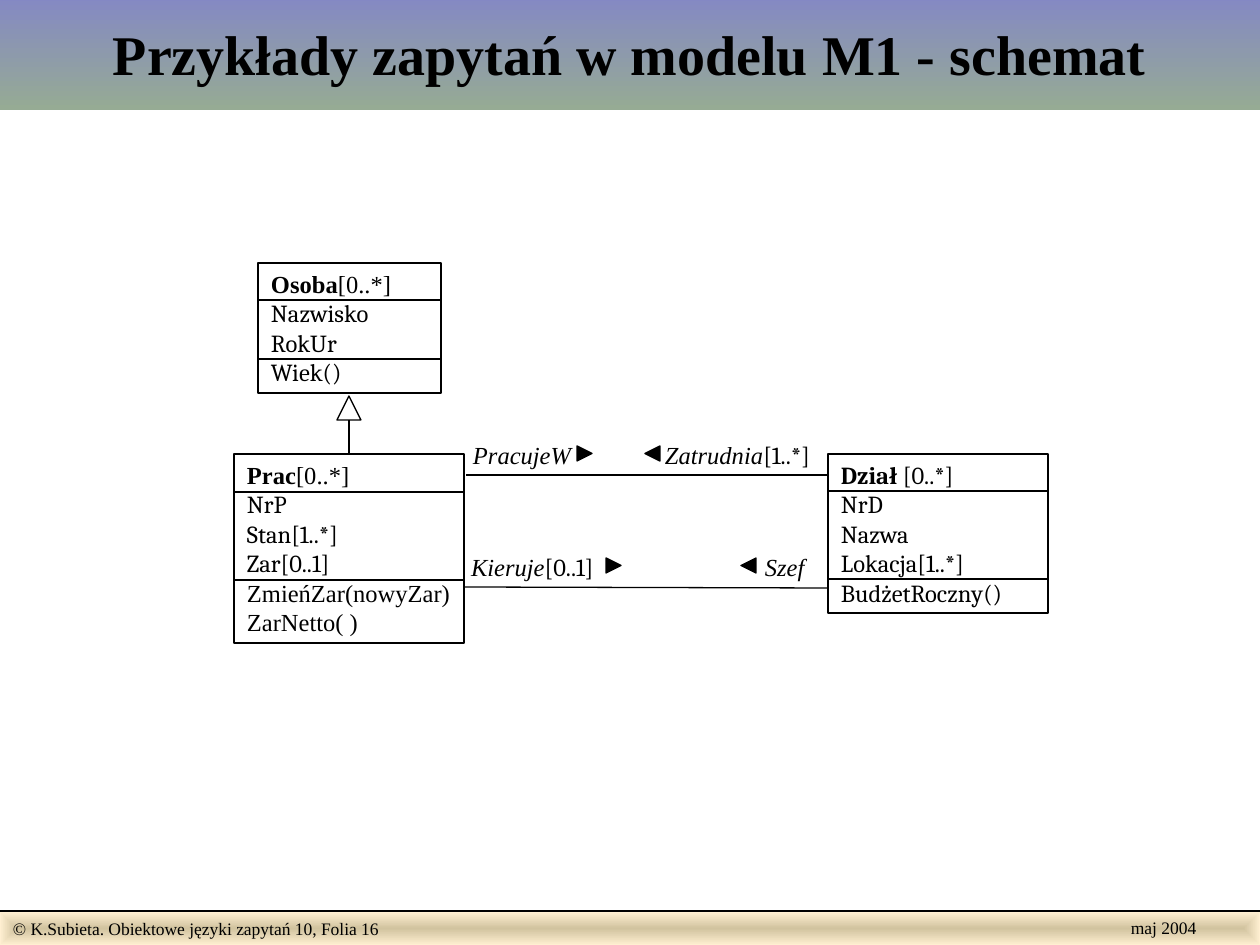
from lxml import etree
from pptx import Presentation
from pptx.dml.color import RGBColor
from pptx.enum.shapes import MSO_CONNECTOR, MSO_SHAPE
from pptx.enum.text import MSO_ANCHOR, PP_ALIGN
from pptx.oxml.ns import qn
from pptx.util import Pt

PX = 914400 / 126
RECT, TRI = MSO_SHAPE.RECTANGLE, MSO_SHAPE.ISOSCELES_TRIANGLE
STRAIGHT = MSO_CONNECTOR.STRAIGHT
TOP, MIDDLE = MSO_ANCHOR.TOP, MSO_ANCHOR.MIDDLE
LEFT, CENTER = PP_ALIGN.LEFT, PP_ALIGN.CENTER
TIMES, CAMBRIA = "Times New Roman", "Cambria"
BLACK, WHITE = "000000", "FFFFFF"
rgb = RGBColor.from_string

prs = Presentation()
prs.slide_width, prs.slide_height = round(1260 * PX), round(945 * PX)
slide = prs.slides.add_slide(prs.slide_layouts[6])
shapes = slide.shapes


def write(shape, paras, size=14, align=LEFT, anchor=TOP, pad=(13, 6)):
    """Each paragraph is a list of runs: (text, font, style), style b, i or empty."""
    frame = shape.text_frame
    frame.word_wrap, frame.vertical_anchor = True, anchor
    frame.margin_left = frame.margin_right = round(pad[0] * PX)
    frame.margin_top = frame.margin_bottom = round(pad[1] * PX)
    for n, runs in enumerate(paras):
        para = frame.add_paragraph() if n else frame.paragraphs[0]
        para.alignment = align
        for text, face, style in runs:
            run = para.add_run()
            run.text = text
            font = run.font
            font.name, font.size = face, Pt(size)
            font.bold, font.italic = style == "b", style == "i"
            font.color.rgb = rgb(BLACK)


def rule(*ends, width=0.75):
    line = shapes.add_connector(STRAIGHT, *(round(v * PX) for v in ends))
    line.line.color.rgb = rgb(BLACK)
    line.line.width = Pt(width)
    etree.SubElement(line._element.spPr, qn("a:effectLst"))
    return line


# Footer and title bands
bands = []
for y, h, tones in [(912, 33, ("D1C39F", "FFEFD1")), (-4, 114, ("8488C4", "96AB94"))]:
    band = shapes.add_shape(RECT, 0, round(y * PX), round(1260 * PX), round(h * PX))
    band.shadow.inherit = False
    band.line.fill.background()
    band.fill.gradient()
    band.fill.gradient_angle = 270
    for stop, tone in zip(band.fill.gradient_stops, tones):
        stop.color.rgb = rgb(tone)
    bands.append(band)
foot, head = bands

# The footer shades from its centre outwards
grad = foot._element.spPr.find(qn("a:gradFill"))
grad.remove(grad.find(qn("a:lin")))
shade = etree.SubElement(grad, qn("a:path"), path="rect")
etree.SubElement(shade, qn("a:fillToRect"), l="50000", t="50000", r="50000", b="50000")

write(foot, [[("© K.Subieta. Obiektowe języki zapytań 10, Folia 16", TIMES, "")]], size=10)
write(head, [[("Przykłady zapytań w modelu M1 - schemat", TIMES, "b")]],
      size=32, align=CENTER, anchor=MIDDLE)
rule(0, 911, 1260, 911, width=1)

# Classes: box, dividers, name, members
classes = [
    ((258, 263, 183, 130), (300, 359), ("Osoba", TIMES),
     [("Nazwisko", CAMBRIA), ("RokUr", CAMBRIA), ("Wiek()", CAMBRIA)]),
    ((234, 454, 230, 189), (492, 580), ("Prac", TIMES),
     [("NrP", CAMBRIA), ("Stan[1..*]", CAMBRIA), ("Zar[0..1]", CAMBRIA),
      ("ZmieńZar(nowyZar)", TIMES), ("ZarNetto( )", TIMES)]),
    ((828, 454, 220, 159), (491, 579), ("Dział ", CAMBRIA),
     [("NrD", CAMBRIA), ("Nazwa", CAMBRIA), ("Lokacja[1..*]", CAMBRIA),
      ("BudżetRoczny()", CAMBRIA)]),
]
boxes = {}
for (x, y, w, h), cuts, (name, face), parts in classes:
    box = shapes.add_shape(RECT, *(round(v * PX) for v in (x, y, w, h)))
    box.shadow.inherit = False
    box.fill.background()
    box.line.color.rgb = rgb(BLACK)
    box.line.width = Pt(0.75)
    write(box, [[(name, face, "b"), ("[0..*]", face, "")]]
          + [[(text, kind, "")] for text, kind in parts])
    for cut in cuts:
        rule(x, cut, x + w, cut)
    boxes[name] = box

# Associations and inheritance
rule(827, 475, 466, 475)
rule(827, 588, 465, 587)
rule(349, 420, 349, 454).end_connect(boxes["Prac"], 0)

# Inheritance head and reading-direction marks
for x, y, side, turn, tone in [(337, 396, 24, 0, WHITE),
                               (577, 446, 15, 90, BLACK), (606, 558, 15, 90, BLACK),
                               (645, 446, 15, 270, BLACK), (741, 558, 15, 270, BLACK)]:
    mark = shapes.add_shape(TRI, *(round(v * PX) for v in (x, y, side, side)))
    mark.shadow.inherit = False
    mark.rotation = turn
    mark.fill.solid()
    mark.fill.fore_color.rgb = rgb(tone)
    mark.line.color.rgb = rgb(BLACK)
    mark.line.width = Pt(0.75)

# Role labels and date
labels = [
    (471, 552, 130, 29, [("Kieruje", TIMES, "i"), ("[0..1]", CAMBRIA, "")], 14, (0, 0)),
    (765, 552, 52, 29, [("Szef", TIMES, "i")], 14, (0, 0)),
    (473, 440, 104, 29, [("PracujeW", TIMES, "i")], 14, (0, 0)),
    (665, 440, 154, 29, [("Zatrudnia", TIMES, "i"), ("[1..*]", CAMBRIA, "")], 14, (0, 0)),
    (1118, 911, 100, 34, [("maj 2004", TIMES, "")], 10, (13, 6)),
]
for x, y, w, h, runs, size, pad in labels:
    label = shapes.add_textbox(*(round(v * PX) for v in (x, y, w, h)))
    write(label, [runs], size=size, pad=pad)

prs.save("out.pptx")
